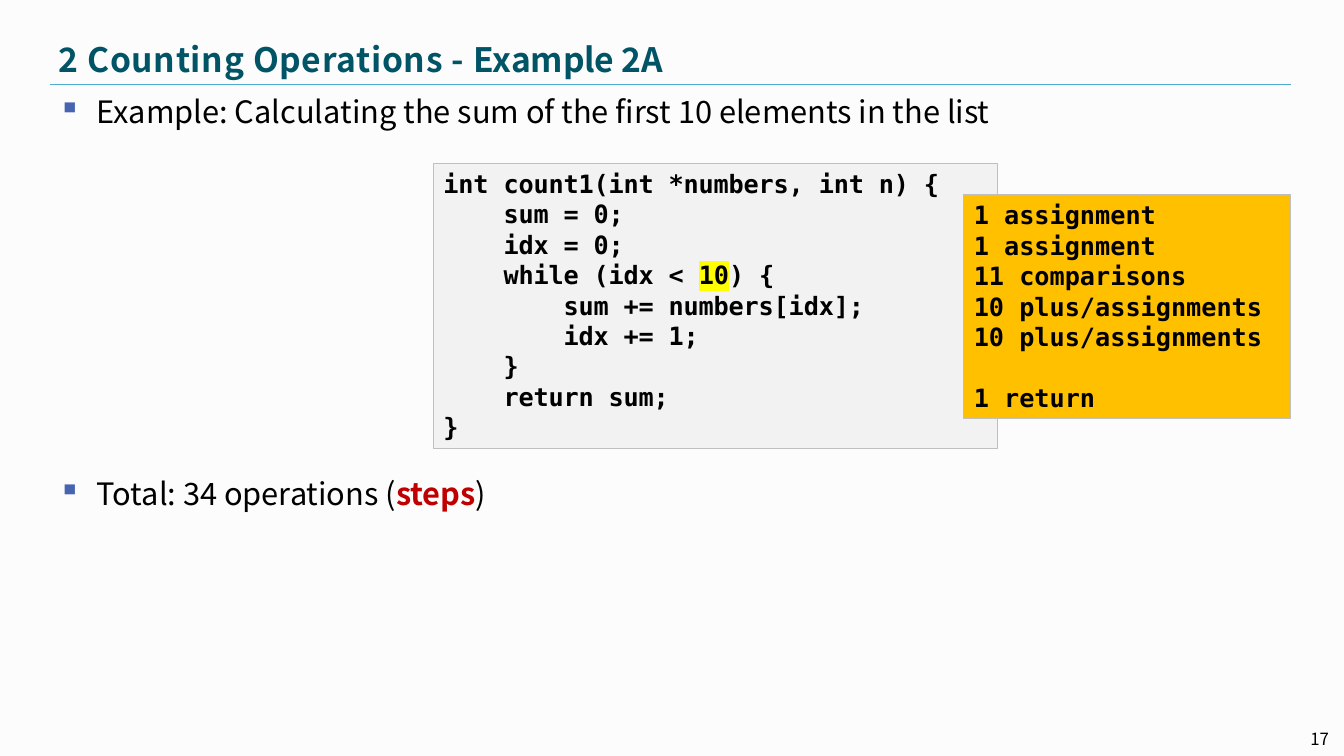
from lxml import etree
from pptx import Presentation
from pptx import util as u
from pptx.dml.color import RGBColor
from pptx.enum import shapes, text
from pptx.oxml.ns import qn

BACKGROUND = RGBColor(0xFC, 0xFC, 0xFC)
TITLE_TEAL = RGBColor(0x00, 0x54, 0x66)
RULE_BLUE = RGBColor(0x4F, 0xAD, 0xD1)
BLACK = RGBColor(0, 0, 0)
RED = RGBColor(0xC0, 0, 0)
CODE_GREY = RGBColor(0xF2, 0xF2, 0xF2)
COUNT_AMBER = RGBColor(0xFF, 0xC0, 0)
BORDER_GREY = RGBColor(0xBF, 0xBF, 0xBF)
BULLET_BLUE = RGBColor(0x47, 0x64, 0xB0)
YELLOW = RGBColor(0xFF, 0xFF, 0)

SANS = "Noto Sans CJK KR"
MONO = "DejaVu Sans Mono"
CODE_PITCH = u.Pt(21.7)

TITLE = {"name": SANS, "size": u.Pt(24), "bold": True, "color": TITLE_TEAL}
BODY = {"name": SANS, "size": u.Pt(22), "color": BLACK}
NUMBER = {"name": SANS, "size": u.Pt(12), "color": BLACK}
CODE = {"name": MONO, "size": u.Pt(18), "bold": True, "color": BLACK}

CODE_LINES = [
    "int count1(int *numbers, int n) {",
    "    sum = 0;",
    "    idx = 0;",
    "    while (idx < 10) {",
    "        sum += numbers[idx];",
    "        idx += 1;",
    "    }",
    "    return sum;",
    "}",
]
COUNT_LINES = [
    "1 assignment",
    "1 assignment",
    "11 comparisons",
    "10 plus/assignments",
    "10 plus/assignments",
    "1 return",
]


def add_run(paragraph, words, style, spacing=0, highlight=None):
    run = paragraph.add_run()
    run.text = words
    for key, value in style.items():
        if key == "color":
            run.font.color.rgb = value
        else:
            setattr(run.font, key, value)
    properties = run._r.get_or_add_rPr()
    if spacing:
        properties.set("spc", str(round(spacing * 100)))
    if highlight is not None:
        mark = etree.Element(qn("a:highlight"))
        etree.SubElement(mark, qn("a:srgbClr")).set("val", str(highlight))
        properties.find(qn("a:solidFill")).addnext(mark)


def set_frame(shape, **settings):
    frame = shape.text_frame
    for key, value in {"word_wrap": True, **settings}.items():
        setattr(frame, key, value)
    return frame


def add_text(slide, box, **settings):
    shape = slide.shapes.add_textbox(*map(u.Inches, box))
    return set_frame(shape, **settings).paragraphs[0]


def add_bullet(slide, top):
    paragraph = add_text(slide, (0.5, top, 12.3, 0.5),
                         margin_left=u.Inches(0.08), margin_top=0)
    properties = paragraph._p.get_or_add_pPr()
    indent = u.Inches(0.38)
    properties.set("marL", str(indent))
    properties.set("indent", str(-indent))
    color = etree.SubElement(properties, qn("a:buClr"))
    etree.SubElement(color, qn("a:srgbClr")).set("val", str(BULLET_BLUE))
    etree.SubElement(properties, qn("a:buChar")).set("char", "▪")
    return paragraph


def add_panel(slide, box, fill):
    """Add a bordered rectangle for monospaced lines."""
    panel = slide.shapes.add_shape(shapes.MSO_SHAPE.RECTANGLE, *map(u.Inches, box))
    panel.shadow.inherit = False
    panel.fill.solid()
    panel.fill.fore_color.rgb = fill
    panel.line.color.rgb = BORDER_GREY
    panel.line.width = u.Pt(0.75)
    return set_frame(panel, vertical_anchor=text.MSO_ANCHOR.TOP)


def add_line(frame, index):
    paragraph = frame.add_paragraph() if index else frame.paragraphs[0]
    paragraph.alignment = text.PP_ALIGN.LEFT
    paragraph.line_spacing = CODE_PITCH
    return paragraph


def add_title(slide):
    paragraph = add_text(slide, (0.5, 0.34, 12.3, 0.5), margin_left=u.Inches(0.08),
                         vertical_anchor=text.MSO_ANCHOR.MIDDLE)
    add_run(paragraph, "2 Counting Operations - ", TITLE, spacing=0.5)
    add_run(paragraph, "Example 2A", TITLE, spacing=-0.1)
    rule = slide.shapes.add_connector(
        shapes.MSO_CONNECTOR.STRAIGHT,
        *map(u.Inches, (0.5, 0.84, 12.8, 0.84)))
    rule.line.color.rgb = RULE_BLUE
    rule.line.width = u.Pt(0.25)
    etree.SubElement(rule._element.spPr, qn("a:effectLst"))


def add_code(slide):
    frame = add_panel(slide, (4.3, 1.62, 5.59, 2.83), CODE_GREY)
    for index, line in enumerate(CODE_LINES):
        paragraph = add_line(frame, index)
        before, limit, after = line.partition("10")
        add_run(paragraph, before, CODE, spacing=-0.1)
        if limit:
            add_run(paragraph, limit, CODE, spacing=-0.1, highlight=YELLOW)
            add_run(paragraph, after, CODE, spacing=-0.1)


def add_counts(slide):
    frame = add_panel(slide, (9.56, 1.93, 3.24, 2.22), COUNT_AMBER)
    for index, line in enumerate(COUNT_LINES):
        paragraph = add_line(frame, index)
        add_run(paragraph, line, CODE)
    # The return count skips the closing brace of the loop
    paragraph.space_before = CODE_PITCH


def main():
    presentation = Presentation()
    presentation.slide_width = u.Inches(13.33)
    presentation.slide_height = u.Inches(7.5)
    slide = presentation.slides.add_slide(presentation.slide_layouts[6])
    slide.background.fill.solid()
    slide.background.fill.fore_color.rgb = BACKGROUND

    # Heading
    add_title(slide)

    # Statements
    add_run(add_bullet(slide, 0.92),
            "Example: Calculating the sum of the first 10 elements in the list", BODY)
    total = add_bullet(slide, 4.71)
    add_run(total, "Total: 34 operations (", BODY)
    add_run(total, "steps", {**BODY, "bold": True, "color": RED})
    add_run(total, ")", BODY)

    # Code with its operation counts
    add_code(slide)
    add_counts(slide)

    # Slide number
    number = add_text(slide, (12.11, 7.13, 1.17, 0.4),
                      vertical_anchor=text.MSO_ANCHOR.MIDDLE)
    number.alignment = text.PP_ALIGN.RIGHT
    add_run(number, "17", NUMBER)

    presentation.save("out.pptx")


if __name__ == "__main__":
    main()
